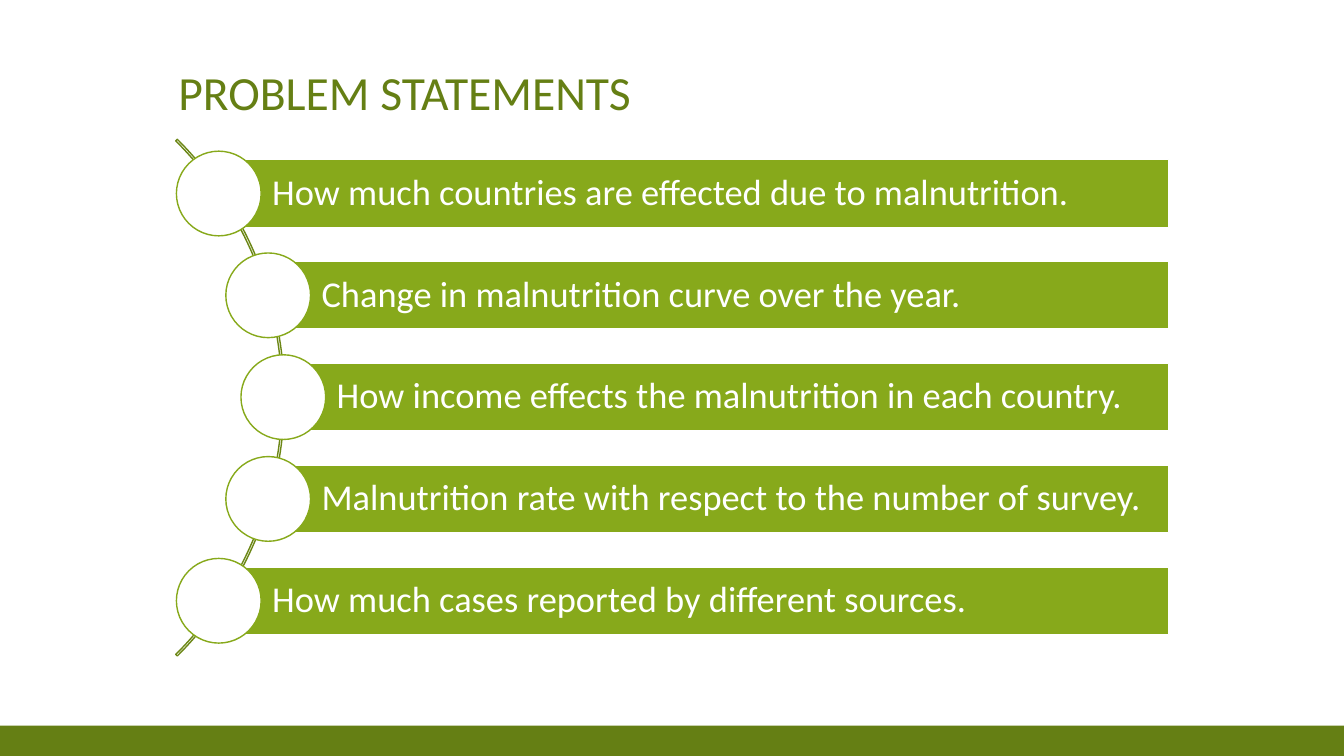
import dataclasses
import pptx
import pptx.util
import pptx.dml.color
import pptx.enum.shapes
import pptx.enum.text

Inches = pptx.util.Inches
Pt = pptx.util.Pt
Kind = pptx.enum.shapes.MSO_SHAPE
Anchor = pptx.enum.text.MSO_ANCHOR

COLORS = {"dark": "657F14", "arc": "6C8716", "green": "87A91B", "white": "FFFFFF"}
TOP, STEP, RIGHT = 1.92, 1.01, 11.59
TALL, DISC = 0.67, 0.84


@dataclasses.dataclass
class Box:
    left: float
    top: float
    width: float
    height: float


@dataclasses.dataclass
class Row:
    mid: float
    text: str


ROWS = [
    Row(2.17, "How much countries are effected due to malnutrition."),
    Row(2.66, "Change in malnutrition curve over the year."),
    Row(2.81, "How income effects the malnutrition in each country."),
    Row(2.66, "Malnutrition rate with respect to the number of survey."),
    Row(2.17, "How much cases reported by different sources."),
]


def color(name: str) -> pptx.dml.color.RGBColor:
    return pptx.dml.color.RGBColor.from_string(COLORS[name])


def draw(slide, kind, box: Box, fill: str = "", line: str = ""):
    shape = slide.shapes.add_shape(
        kind, Inches(box.left), Inches(box.top), Inches(box.width), Inches(box.height)
    )
    shape.shadow.inherit = False
    if fill:
        shape.fill.solid()
        shape.fill.fore_color.rgb = color(fill)
    else:
        shape.fill.background()
    if line:
        shape.line.color.rgb = color(line)
        shape.line.width = Pt(1)
    else:
        shape.line.fill.background()
    return shape


def write(frame, text: str, size: int, ink: str, anchor) -> None:
    frame.text = text
    frame.word_wrap = True
    frame.auto_size = pptx.enum.text.MSO_AUTO_SIZE.NONE
    frame.vertical_anchor = anchor
    line = frame.paragraphs[0]
    line.alignment = pptx.enum.text.PP_ALIGN.LEFT
    line.line_spacing = 0.9
    font = line.runs[0].font
    font.name = "Calibri"
    font.size = Pt(size)
    font.color.rgb = color(ink)


def add_row(slide, row: Row, mid: float) -> None:
    box = Box(row.mid, mid - TALL / 2, RIGHT - row.mid, TALL)
    bar = draw(slide, Kind.RECTANGLE, box, "green", "white")
    frame = bar.text_frame
    write(frame, row.text, 26, "white", Anchor.MIDDLE)
    frame.margin_left = Inches(0.53)
    frame.margin_right = frame.margin_top = frame.margin_bottom = Inches(0.07)
    disc = Box(row.mid - DISC / 2, mid - DISC / 2, DISC, DISC)
    draw(slide, Kind.OVAL, disc, "white", "green")


def main() -> None:
    deck = pptx.Presentation()
    deck.slide_width, deck.slide_height = Inches(13.33), Inches(7.5)
    slide = deck.slides.add_slide(deck.slide_layouts[5])
    draw(slide, Kind.RECTANGLE, Box(0, 7.2, 13.33, 0.3), "dark")

    title = slide.shapes.title
    title.left, title.top = Inches(1.67), Inches(0)
    title.width, title.height = Inches(10), Inches(1.25)
    write(title.text_frame, "PROBLEM STATEMENTS", 34, "dark", Anchor.BOTTOM)

    arc = draw(slide, Kind.BLOCK_ARC, Box(-4.43, 0.32, 7.25, 7.25), line="arc")
    for index, value in enumerate((189, 27, 0.003)):
        arc.adjustments[index] = value

    for index, row in enumerate(ROWS):
        add_row(slide, row, TOP + index * STEP)
    deck.save("out.pptx")


if __name__ == "__main__":
    main()
